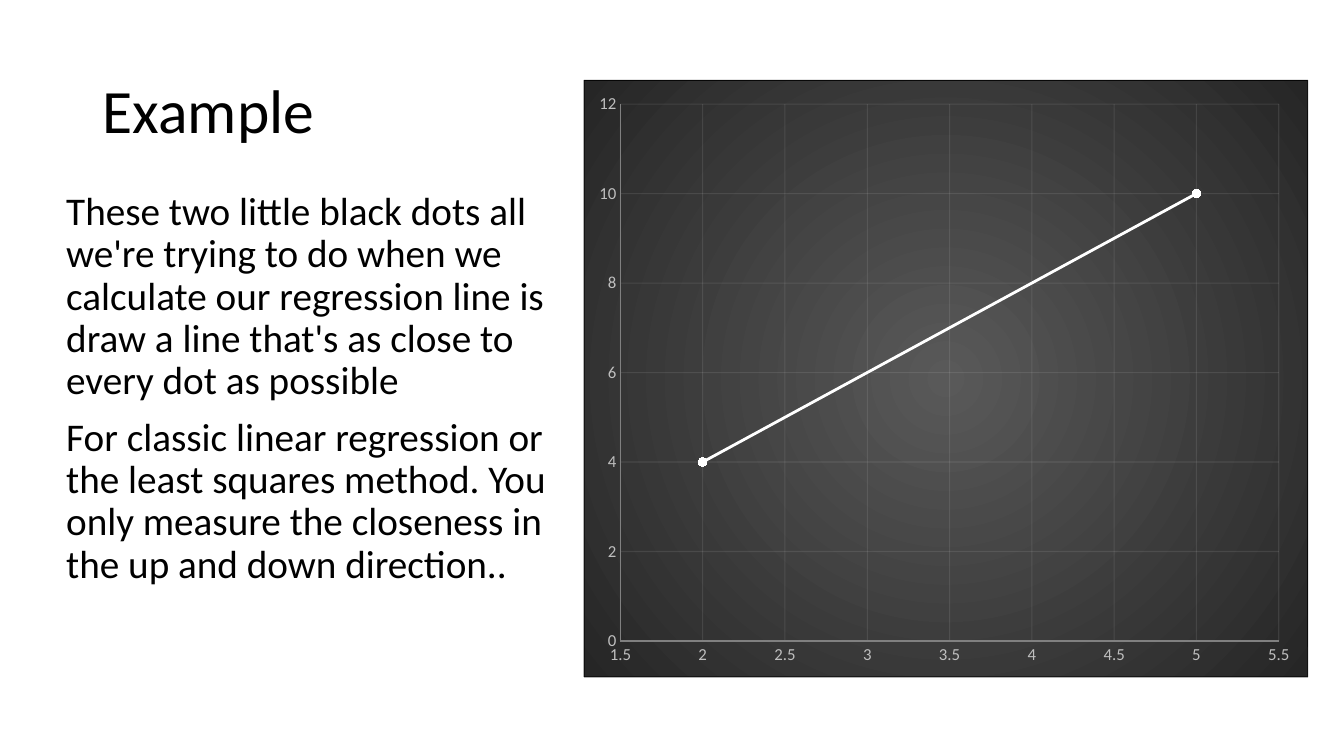
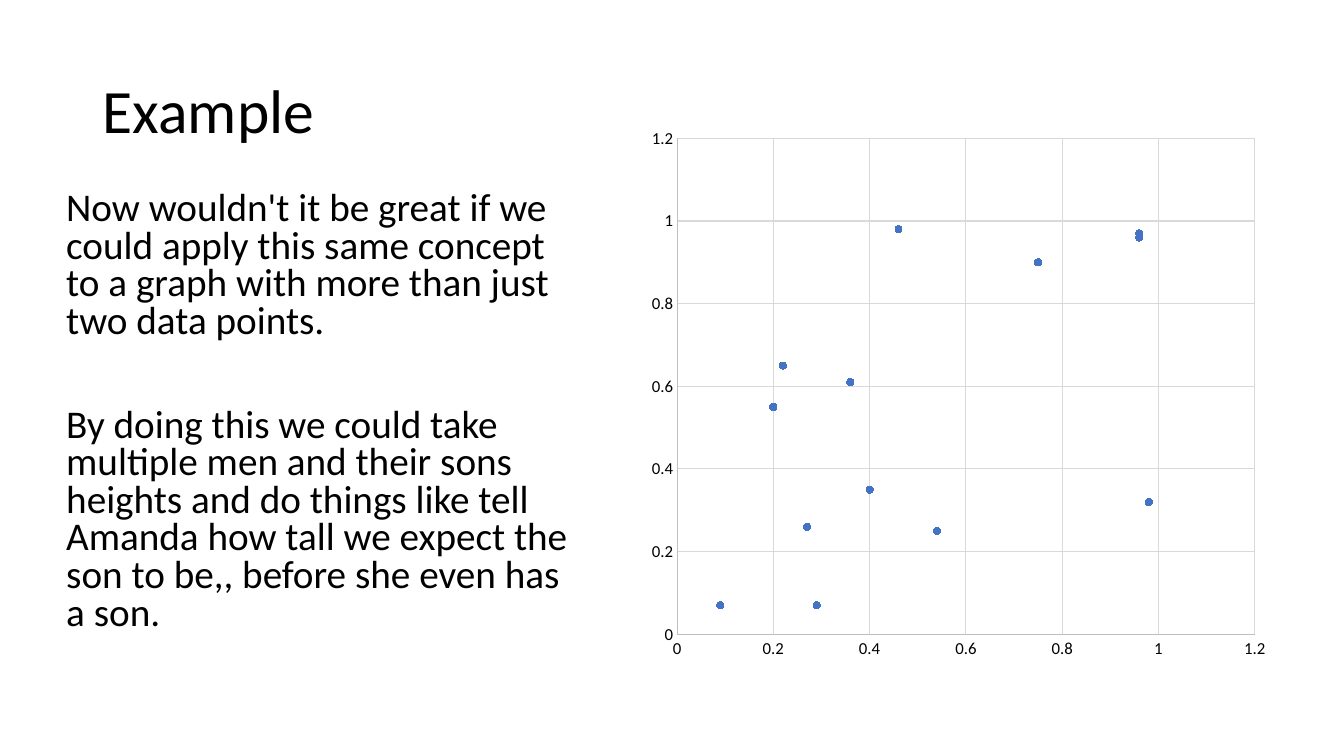
"""Build two slides that explain regression lines with scatter charts."""
from dataclasses import dataclass, field
from typing import Optional

from lxml.etree import SubElement
from pptx import Presentation
from pptx.chart.data import XyChartData
from pptx.dml.color import RGBColor
from pptx.enum.chart import XL_CHART_TYPE as ChartType
from pptx.enum.chart import XL_MARKER_STYLE as MarkerStyle
from pptx.enum.chart import XL_TICK_MARK as TickMark
from pptx.enum.text import MSO_ANCHOR as Anchor
from pptx.oxml import parse_xml
from pptx.oxml.ns import nsdecls, qn
from pptx.util import Cm, Pt


@dataclass(frozen=True)
class Theme:
    """Hold the colours, font and sizes shared by the slides."""
    font: str = "Calibri"
    text: str = "000000"
    title_size: float = 44
    body_size: float = 28
    axis_size: float = 12
    line_width: float = 0.75
    title_box: tuple = (2.34, 1.02, 29.2, 3.68)
    body_box: tuple = (1.42, 4.7, 13.28, 12.09)


@dataclass(frozen=True)
class ChartLook:
    """Hold the colours and line sizes of one chart style."""
    labels: str
    axis: str
    grid: str
    series: str
    marker_size: int
    grid_alpha: int = 100
    series_width: Optional[float] = None
    gradient: tuple = ()
    border_alpha: int = 84


@dataclass(frozen=True)
class Axis:
    """Hold the range and step of one value axis."""
    minimum: float
    maximum: float
    step: float


@dataclass(frozen=True)
class ExampleSlide:
    """Hold the text and the chart of one example slide."""
    paragraphs: tuple
    line_spacing: float
    gap: float
    points: tuple
    box: tuple
    plot: tuple
    axes: tuple
    look: ChartLook = field(repr=False)


THEME = Theme()
DARK = ChartLook("BFBFBF", "808080", "F2F2F2", "FFFFFF", 6, grid_alpha=10,
                 series_width=2, gradient=("595959", "262626"))
LIGHT = ChartLook("000000", "BFBFBF", "D9D9D9", "4472C4", 5)

EXAMPLES = (
    ExampleSlide(
        paragraphs=(
            "These two little black dots all we're trying to do when we calculate "
            "our regression line is draw a line that's as close to every dot as possible",
            "For classic linear regression or the least squares method. You only "
            "measure the closeness in the up and down direction..",
        ),
        line_spacing=0.9,
        gap=10,
        points=((2, 4), (5, 10)),
        box=(14.71, 2.01, 18.26, 15.06),
        plot=(0.05, 0.04, 0.91, 0.9),
        axes=(Axis(1.5, 5.5, 0.5), Axis(0, 12, 2)),
        look=DARK,
    ),
    ExampleSlide(
        paragraphs=(
            "Now wouldn't it be great if we could apply this same concept to a graph "
            "with more than just two data points.",
            "By doing this we could take multiple men and their sons heights and do "
            "things like tell Amanda how tall we expect the son to be,, before she "
            "even has a son.",
        ),
        line_spacing=0.8,
        gap=47,
        points=((0.4, 0.35), (0.98, 0.32), (0.46, 0.98), (0.22, 0.65), (0.96, 0.97),
                (0.09, 0.07), (0.75, 0.9), (0.2, 0.55), (0.54, 0.25), (0.27, 0.26),
                (0.36, 0.61), (0.96, 0.96), (0.29, 0.07)),
        box=(16.08, 1.68, 16.36, 15.06),
        plot=(0.06, 0.12, 0.89, 0.83),
        axes=(Axis(0, 1.2, 0.2), Axis(0, 1.2, 0.2)),
        look=LIGHT,
    ),
)


def set_attributes(target, values):
    """Set each named attribute of the target."""
    for name, value in values.items():
        setattr(target, name, value)


def style_font(font, size, color):
    """Give a font the theme face, a size and a colour."""
    set_attributes(font, {"name": THEME.font, "size": Pt(size)})
    font.color.rgb = RGBColor.from_string(color)


def style_line(line, color, width):
    """Give a line a solid colour and a width."""
    line.color.rgb = RGBColor.from_string(color)
    line.width = Pt(width)


def add_text(slide, box, paragraphs, size, line_spacing, gaps, anchor=Anchor.TOP):
    """Add a wrapped text box with one gap before each paragraph."""
    frame = slide.shapes.add_textbox(*map(Cm, box)).text_frame
    set_attributes(frame, {"word_wrap": True, "vertical_anchor": anchor,
                           "text": "\n".join(paragraphs)})
    for paragraph, gap in zip(frame.paragraphs, gaps):
        set_attributes(paragraph, {"line_spacing": line_spacing, "space_before": Pt(gap)})
        style_font(paragraph.runs[0].font, size, THEME.text)


def style_axis(axis, scale, look):
    """Set the range, labels and lines of an axis."""
    set_attributes(axis, {
        "minimum_scale": scale.minimum, "maximum_scale": scale.maximum,
        "major_unit": scale.step, "has_major_gridlines": True, "has_title": False,
        "major_tick_mark": TickMark.NONE, "minor_tick_mark": TickMark.NONE,
    })
    set_attributes(axis.tick_labels, {"number_format": "General",
                                      "number_format_is_linked": False})
    style_font(axis.tick_labels.font, THEME.axis_size, look.labels)
    style_line(axis.format.line, look.axis, THEME.line_width)
    style_line(axis.major_gridlines.format.line, look.grid, THEME.line_width)


def style_series(series, look):
    """Set the line and the markers of a series."""
    series.smooth = False
    if look.series_width:
        style_line(series.format.line, look.series, look.series_width)
    else:
        series.format.line.fill.background()
    color = RGBColor.from_string(look.series)
    marker = series.marker
    set_attributes(marker, {"style": MarkerStyle.CIRCLE, "size": look.marker_size})
    marker.format.fill.solid()
    marker.format.fill.fore_color.rgb = color
    marker.format.line.color.rgb = color


def place_plot(chart, plot):
    """Fix the inner plot area as fractions of the chart."""
    area = chart.element.find(".//" + qn("c:plotArea"))
    for old_layout in area.findall(qn("c:layout")):
        area.remove(old_layout)
    layout = parse_xml(f"<c:layout {nsdecls('c')}><c:manualLayout/></c:layout>")
    values = {"layoutTarget": "inner", "xMode": "edge", "yMode": "edge",
              **dict(zip("xywh", plot))}
    for name, value in values.items():
        SubElement(layout[0], qn(f"c:{name}")).set("val", str(value))
    area.insert(0, layout)
    area.append(parse_xml(f"<c:spPr {nsdecls('c', 'a')}><a:noFill/></c:spPr>"))


def fade_grid(chart, alpha):
    """Set the opacity of the gridlines in percent."""
    for grid in chart.element.iter(qn("c:majorGridlines")):
        for color in grid.iter(qn("a:srgbClr")):
            SubElement(color, qn("a:alpha")).set("val", str(alpha * 1000))


def fill_chart(chart, look):
    """Give the chart a radial gradient and a thin border."""
    center, edge = look.gradient
    chart.element.find(qn("c:chart")).addnext(parse_xml(
        f"<c:spPr {nsdecls('c', 'a')}><a:gradFill><a:gsLst>"
        f'<a:gs pos="0"><a:srgbClr val="{center}"/></a:gs>'
        f'<a:gs pos="100000"><a:srgbClr val="{edge}"/></a:gs></a:gsLst>'
        '<a:path path="circle"><a:fillToRect l="50000" t="50000" r="50000" b="50000"/>'
        f'</a:path></a:gradFill><a:ln w="{Pt(THEME.line_width)}"><a:solidFill>'
        f'<a:srgbClr val="{THEME.text}"><a:alpha val="{look.border_alpha * 1000}"/>'
        "</a:srgbClr></a:solidFill></a:ln></c:spPr>"))


def add_scatter(slide, example):
    """Add the scatter chart of an example."""
    look = example.look
    data = XyChartData()
    series = data.add_series("Series 1")
    for point in example.points:
        series.add_data_point(*point)
    kind = ChartType.XY_SCATTER_LINES if look.series_width else ChartType.XY_SCATTER
    chart = slide.shapes.add_chart(kind, *map(Cm, example.box), data).chart
    set_attributes(chart, {"has_title": False, "has_legend": False})
    style_font(chart.font, THEME.axis_size, look.labels)
    chart.plots[0].vary_by_categories = False
    for axis, scale in zip((chart.category_axis, chart.value_axis), example.axes):
        style_axis(axis, scale, look)
    style_series(chart.plots[0].series[0], look)
    place_plot(chart, example.plot)
    if look.grid_alpha < 100:
        fade_grid(chart, look.grid_alpha)
    if look.gradient:
        fill_chart(chart, look)


def add_example(presentation, example):
    """Add a slide with the title, the body text and the chart."""
    slide = presentation.slides.add_slide(presentation.slide_layouts[6])
    add_text(slide, THEME.title_box, ("Example",), THEME.title_size, 0.9, (0,),
             Anchor.MIDDLE)
    add_text(slide, THEME.body_box, example.paragraphs, THEME.body_size,
             example.line_spacing, (10, example.gap))
    add_scatter(slide, example)


def main():
    """Build and save the presentation."""
    presentation = Presentation()
    set_attributes(presentation, {"slide_width": Cm(33.87), "slide_height": Cm(19.05)})
    for example in EXAMPLES:
        add_example(presentation, example)
    presentation.save("out.pptx")


if __name__ == "__main__":
    main()
